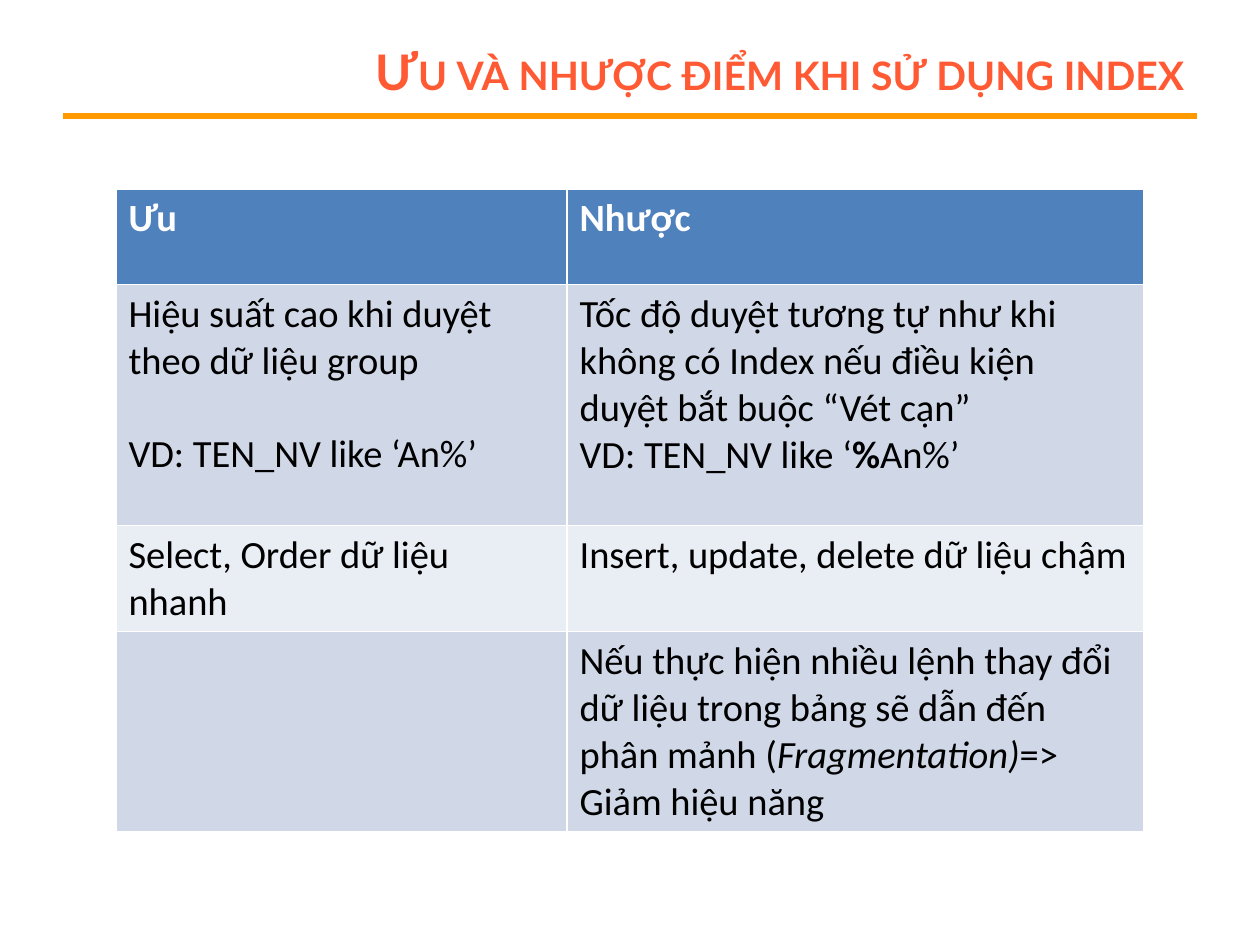
from lxml import etree
from pptx import Presentation
from pptx import util as u
from pptx.dml.color import RGBColor
from pptx.enum import shapes, text
from pptx.oxml.ns import qn

COLORS = {
    "title": "FF5A33", "rule": "FF9900", "header": "4F81BD", "header_text": "FFFFFF",
    "odd": "D0D8E8", "even": "E9EDF4", "body": "000000",
}
TITLE = {"name": "Lato", "size": u.Pt(28), "bold": True}
HEADER = {"name": "Calibri", "size": u.Pt(22), "bold": True}
BODY = {"name": "Calibri", "size": u.Pt(22), "bold": False, "italic": False}
BLANK_LINE = u.Pt(26.4)

# A cell is a list of paragraphs, a paragraph a list of (text, format) runs.
ROWS = [
    ([[("Ưu", {})]], [[("Nhược", {})]]),
    ([[("Hiệu suất cao khi duyệt theo dữ liệu group", {})],
      [("VD: TEN_NV like ‘An%’", {})]],
     [[("Tốc độ duyệt tương tự như khi không có Index nếu điều kiện duyệt "
        "bắt buộc “Vét cạn”", {})],
      [("VD: TEN_NV like ‘", {}), ("%", {"bold": True}), ("An%’", {})]]),
    ([[("Select, Order dữ liệu nhanh", {})]],
     [[("Insert, update, delete dữ liệu chậm", {})]]),
    ([],
     [[("Nếu thực hiện nhiều lệnh thay đổi dữ liệu trong bảng sẽ dẫn đến "
        "phân mảnh (", {}),
       ("Fragmentation)", {"italic": True}), ("=> Giảm hiệu năng", {})]]),
]
COL_WIDTHS = (3.58, 4.58)
ROW_HEIGHTS = (0.76, 1.91, 0.84, 1.58)


def rgb(name):
    return RGBColor.from_string(COLORS[name])


class Deck:
    def __init__(self):
        self.prs = Presentation()
        self.prs.slide_width, self.prs.slide_height = u.Inches(10), u.Inches(7.5)
        self.s = self.prs.slides.add_slide(self.prs.slide_layouts[5])

    def add_run(self, p, words, style, color):
        r = p.add_run()
        r.text = words
        for key, value in style.items():
            setattr(r.font, key, value)
        r.font.color.rgb = rgb(color)
        return r

    def title(self, words, x, y, w, h):
        sp = self.s.shapes.title
        box = {"left": x, "top": y, "width": w, "height": h}
        for key, value in box.items():
            setattr(sp, key, u.Inches(value))
        tf = sp.text_frame
        tf.vertical_anchor = text.MSO_ANCHOR.MIDDLE
        p = tf.paragraphs[0]
        p.alignment = text.PP_ALIGN.RIGHT
        r = self.add_run(p, words, TITLE, "title")
        r._r.get_or_add_rPr().set("cap", "small")

    def rule(self, x1, x2, y):
        line = self.s.shapes.add_connector(
            shapes.MSO_CONNECTOR.STRAIGHT,
            u.Inches(x1), u.Inches(y), u.Inches(x2), u.Inches(y))
        line.line.color.rgb = rgb("rule")
        line.line.width = u.Pt(3)
        etree.SubElement(line._element.spPr, qn("a:effectLst"))

    def cell(self, cell, paragraphs, style, color, fill, gap):
        cell.fill.solid()
        cell.fill.fore_color.rgb = rgb(fill)
        tf = cell.text_frame
        tf.paragraphs[0].font.size = style["size"]
        for i, runs in enumerate(paragraphs):
            p = tf.add_paragraph() if i else tf.paragraphs[0]
            if i and gap:
                p.space_before = gap
            for words, extra in runs:
                self.add_run(p, words, {**style, **extra}, color)

    def table(self, rows, x, y):
        """Header row, then banded rows; borders come from the table style."""
        table = self.s.shapes.add_table(
            len(rows), len(COL_WIDTHS), u.Inches(x), u.Inches(y),
            u.Inches(sum(COL_WIDTHS)), u.Inches(sum(ROW_HEIGHTS))).table
        for col, width in zip(table.columns, COL_WIDTHS):
            col.width = u.Inches(width)
        for i, (row, height) in enumerate(zip(rows, ROW_HEIGHTS)):
            table.rows[i].height = u.Inches(height)
            fill = "header" if i == 0 else "odd" if i % 2 else "even"
            style, color = (BODY, "body") if i else (HEADER, "header_text")
            for j, paragraphs in enumerate(row):
                gap = BLANK_LINE if j == 0 else None
                self.cell(table.cell(i, j), paragraphs, style, color, fill, gap)


def main():
    deck = Deck()
    deck.rule(0.5, 9.5, 0.92)
    deck.title("Ưu và nhược điểm khi sử dụng index", 2.25, 0.3, 7.25, 0.53)
    deck.table(ROWS, 0.92, 1.5)
    deck.prs.save("out.pptx")


if __name__ == "__main__":
    main()
